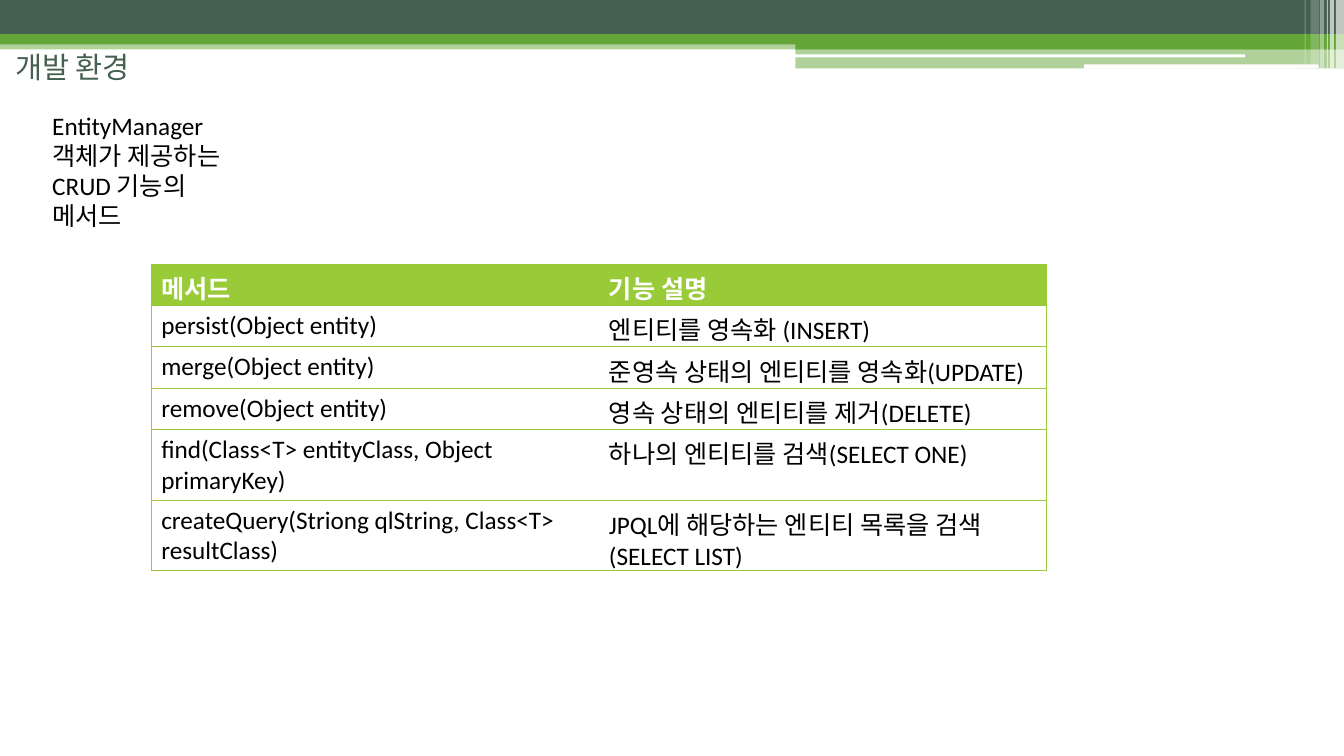
from lxml import etree
from pptx import Presentation
from pptx.dml.color import RGBColor
from pptx.enum import shapes, text
from pptx.oxml import ns
from pptx.util import Inches, Pt

DARK = RGBColor(0x45, 0x5F, 0x51)
GREEN = RGBColor(0x63, 0xA5, 0x37)
LIME = RGBColor(0x99, 0xCB, 0x38)
WHITE = RGBColor(0xFF, 0xFF, 0xFF)
BLACK = RGBColor(0, 0, 0)
LATIN, HANGUL = "Calibri", "Noto Sans CJK KR"
RECT = shapes.MSO_SHAPE.RECTANGLE
ROUNDED = shapes.MSO_SHAPE.ROUNDED_RECTANGLE

# left, top, width, height, colour, opacity in percent, outline
HEADER_BANDS = [
    (0, 0.4, 13.33, 0.09, GREEN, 50, RECT),
    (0, 0, 13.33, 0.34, DARK, 100, RECT),
    (0, 0.34, 13.33, 0.1, GREEN, 100, RECT),
    (7.89, 0.39, 5.44, 0.1, GREEN, 100, RECT),
    (7.89, 0.48, 5.44, 0.2, GREEN, 50, RECT),
    (7.88, 0.54, 4.47, 0.03, WHITE, 100, ROUNDED),
    (10.75, 0.64, 2.33, 0.04, WHITE, 100, ROUNDED),
]
# left, width, height, opacity in percent
CORNER_STRIPES = [
    (13.25, 0.08, 0.68, 65),
    (13.19, 0.04, 0.68, 65),
    (13.16, 0.01, 0.68, 60),
    (13.09, 0.04, 0.68, 40),
    (13, 0.08, 0.64, 20),
    (12.94, 0.01, 0.64, 30),
]
METHODS = [
    ("메서드", "기능 설명"),
    ("persist(Object entity)", "엔티티를 영속화 (INSERT)"),
    ("merge(Object entity)", "준영속 상태의 엔티티를 영속화(UPDATE)"),
    ("remove(Object entity)", "영속 상태의 엔티티를 제거(DELETE)"),
    ("find(Class<T> entityClass, Object primaryKey)",
     "하나의 엔티티를 검색(SELECT ONE)"),
    ("createQuery(Striong qlString, Class<T> resultClass)",
     "JPQL에 해당하는 엔티티 목록을 검색 (SELECT LIST)"),
]


def add_band(slide, left, top, width, height, color, opacity, outline):
    band = slide.shapes.add_shape(
        outline, *map(Inches, (left, top, width, height)))
    band.shadow.inherit = False
    band.line.fill.background()
    band.fill.solid()
    band.fill.fore_color.rgb = color
    if opacity < 100:
        rgb = band.fill._xPr.find(".//" + ns.qn("a:srgbClr"))
        etree.SubElement(rgb, ns.qn("a:alpha"), val=str(opacity * 1000))


def write(frame, words, size, color, font=LATIN, bold=False):
    paragraph = frame.paragraphs[0]
    paragraph.alignment = text.PP_ALIGN.LEFT
    run = paragraph.add_run()
    run.text = words
    run.font.color.rgb = color
    for key, value in {"size": Pt(size), "name": font, "bold": bold}.items():
        setattr(run.font, key, value)
    if font == HANGUL:
        etree.SubElement(run.font._element, ns.qn("a:ea"), typeface=font)


def add_heading(slide, words):
    heading = slide.shapes.title
    place = {"left": 0, "top": 0.49, "width": 1.6, "height": 0.55}
    for key, value in place.items():
        setattr(heading, key, Inches(value))
    frame = heading.text_frame
    settings = {"margin_left": Inches(0.15), "margin_top": 0,
                "vertical_anchor": text.MSO_ANCHOR.TOP, "word_wrap": True,
                "auto_size": text.MSO_AUTO_SIZE.NONE}
    for key, value in settings.items():
        setattr(frame, key, value)
    write(frame, words, 21, DARK, HANGUL)


def add_intro(slide, words):
    intro = slide.shapes.add_textbox(
        *map(Inches, (0.42, 1.04, 2.16, 1.31)))
    intro.text_frame.word_wrap = True
    write(intro.text_frame, words, 18, BLACK)


def set_borders(cell, sides):
    """Draw thin lime lines on the given sides and none on the others."""
    properties = cell._tc.get_or_add_tcPr()
    for position, side in enumerate("LRTB"):
        line = etree.Element(ns.qn(f"a:ln{side}"), w=str(Pt(0.5)))
        if side in sides:
            fill = etree.SubElement(line, ns.qn("a:solidFill"))
            etree.SubElement(fill, ns.qn("a:srgbClr"), val=str(LIME))
        else:
            etree.SubElement(line, ns.qn("a:noFill"))
        properties.insert(position, line)


def add_method_table(slide, rows):
    height = 0.41
    table = slide.shapes.add_table(
        len(rows), 2, Inches(1.5), Inches(2.62),
        Inches(8.88), Inches(height * len(rows))).table
    for column in table.columns:
        column.width = Inches(4.44)
    for r, row in enumerate(rows):
        table.rows[r].height = Inches(height)
        is_header = r == 0
        for c, words in enumerate(row):
            cell = table.cell(r, c)
            if is_header:
                cell.fill.solid()
                cell.fill.fore_color.rgb = LIME
            else:
                cell.fill.background()
            write(cell.text_frame, words, 18,
                  WHITE if is_header else BLACK, bold=is_header)
            set_borders(cell, "TB" + "LR"[c])


def main():
    prs = Presentation()
    prs.slide_width, prs.slide_height = Inches(13.33), Inches(7.5)
    slide = prs.slides.add_slide(prs.slide_layouts[5])

    # Header decoration
    for band in HEADER_BANDS:
        add_band(slide, *band)
    for left, width, height, opacity in CORNER_STRIPES:
        add_band(slide, left, 0, width, height, WHITE, opacity, RECT)

    # Content
    add_heading(slide, "개발 환경")
    add_intro(slide, "EntityManager 객체가 제공하는 CRUD 기능의 메서드")
    add_method_table(slide, METHODS)
    prs.save("out.pptx")


if __name__ == "__main__":
    main()
